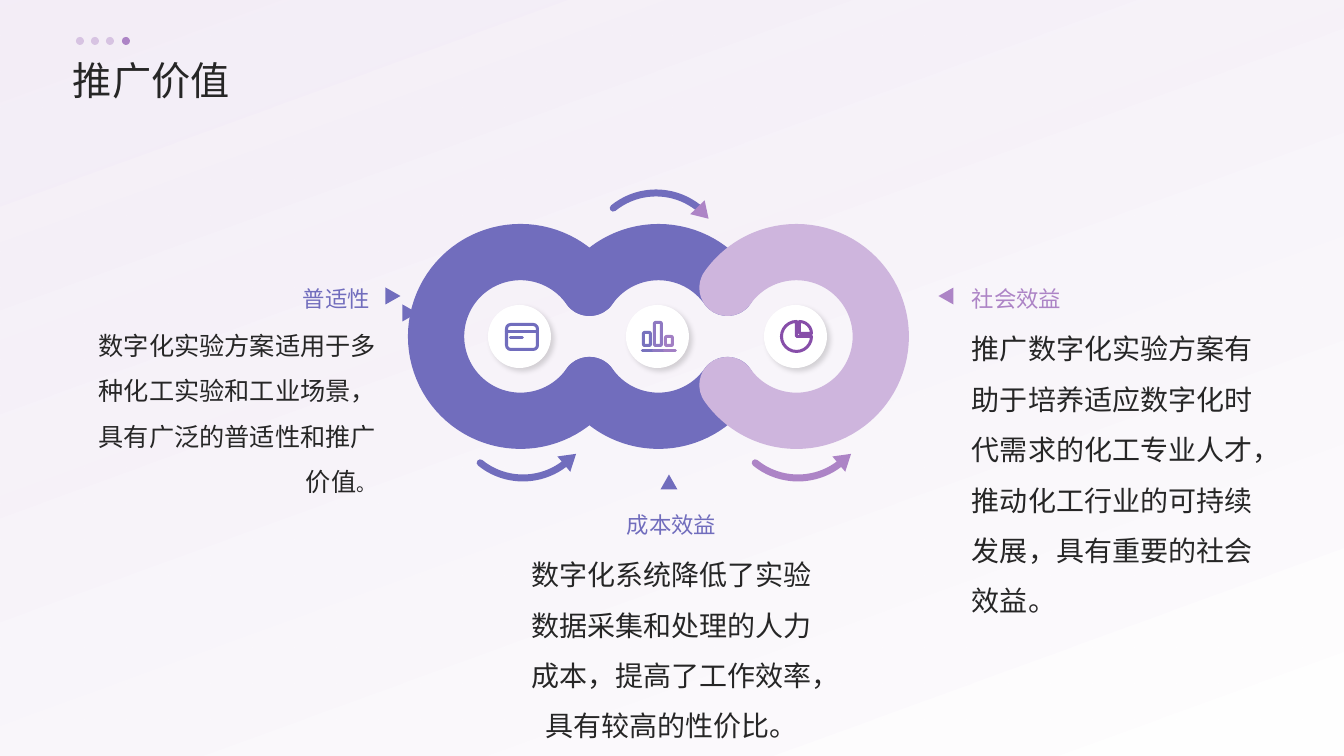
from math import acos, degrees

from lxml import etree
from pptx import Presentation
from pptx import util as u
from pptx.dml.color import RGBColor
from pptx.enum import shapes, text
from pptx.oxml.ns import qn

SCALE = 12192000 / 1344
FONT = "Noto Sans CJK SC"
INK, WHITE, MIST = "262626", "FFFFFF", "EFE6F4"
BLUE, ORCHID, LILAC, PLUM = "716DBD", "AD84C6", "CEB5DD", "874EA9"
KIND = shapes.MSO_SHAPE
ALIGN = text.PP_ALIGN
ANCHOR = text.MSO_ANCHOR
ICON_LINE = 3
LABEL_HEIGHT, LABEL_GAP = 58, 3


def px(length):
    return u.Emu(round(length * SCALE))


def color(value):
    return RGBColor.from_string(value)


def set_opacities(element, percents):
    """Give the colours found in an element their opacity, in order."""
    for node, percent in zip(element.iter(qn("a:srgbClr")), percents):
        etree.SubElement(node, qn("a:alpha")).set("val", str(percent * 1000))


def format_line(item, line, width):
    """Give a shape or connector a round-capped line."""
    item.line.color.rgb = color(line)
    item.line.width = px(width)
    item.element.spPr.find(qn("a:ln")).set("cap", "rnd")


def add_shape(slide, kind, box, fill=None, line=None, width=ICON_LINE):
    shape = slide.shapes.add_shape(kind, *map(px, box))
    shape.shadow.inherit = False
    if fill:
        shape.fill.solid()
        shape.fill.fore_color.rgb = color(fill)
    else:
        shape.fill.background()
    if line:
        format_line(shape, line, width)
    else:
        shape.line.fill.background()
    return shape


def add_sector(slide, kind, center, radius, angles, line, width=ICON_LINE):
    """Stroke an arc or pie clockwise between two angles in degrees."""
    x, y = center
    box = (x - radius, y - radius, 2 * radius, 2 * radius)
    sector = add_shape(slide, kind, box, line=line, width=width)
    for index, angle in enumerate(angles):
        sector.adjustments[index] = angle * 0.6


def add_triangle(slide, center, size, rotation, fill):
    (x, y), (width, height) = center, size
    box = (x - width / 2, y - height / 2, width, height)
    triangle = add_shape(slide, KIND.ISOSCELES_TRIANGLE, box, fill)
    triangle.rotation = rotation


def add_stroke(slide, left, right, y, line):
    stroke = slide.shapes.add_connector(
        shapes.MSO_CONNECTOR.STRAIGHT, *map(px, (left, y, right, y)))
    format_line(stroke, line, ICON_LINE)
    etree.SubElement(stroke.element.spPr, qn("a:effectLst"))


def format_text(shape, runs, fill, alignment, anchor, spacing):
    """Fill a shape with one paragraph of (words, point size) runs."""
    frame = shape.text_frame
    frame.word_wrap = True
    frame.auto_size = text.MSO_AUTO_SIZE.NONE
    frame.vertical_anchor = anchor
    frame.margin_left = frame.margin_right = 0
    frame.margin_top = frame.margin_bottom = 0
    paragraph = frame.paragraphs[0]
    paragraph.alignment = alignment
    paragraph.line_spacing = spacing
    for words, size in runs:
        run = paragraph.add_run()
        run.text = words
        run.font.size = u.Pt(size)
        run.font.color.rgb = color(fill)
        run.font.name = FONT
    for latin in shape.element.iter(qn("a:latin")):
        latin.addnext(etree.Element(qn("a:ea"), typeface=FONT))


def add_backdrop(slide, box):
    backdrop = add_shape(slide, KIND.RECTANGLE, box)
    backdrop.fill.gradient()
    backdrop.fill.gradient_angle = 290
    for stop, value in zip(backdrop.fill.gradient_stops, (MIST, WHITE)):
        stop.color.rgb = color(value)
    set_opacities(backdrop.element, (67, 92))
    slide.shapes.title.element.addprevious(backdrop.element)


def add_header(slide, box, words):
    """Title with a row of four dots above it, the last one solid."""
    left, top, width, height = box
    title = slide.shapes.title
    title.left, title.top, title.width, title.height = map(px, box)
    format_text(title, [(words, 28)], INK, ALIGN.LEFT, ANCHOR.MIDDLE, 1.1)
    for index, opacity in enumerate((40, 40, 40, 100)):
        dot_box = (left + 3 + index * 46 // 3, top - 15, 8, 8)
        dot = add_shape(slide, KIND.OVAL, dot_box, ORCHID)
        set_opacities(dot.element, [opacity])


def add_benefit(slide, box, label, label_color, runs, alignment, label_shift=0):
    """Coloured label above body text, the label moved sideways if asked."""
    left, top, width, height = box
    body_offset = LABEL_HEIGHT + LABEL_GAP
    label_box = (left + label_shift, top, width, LABEL_HEIGHT)
    body_box = (left, top + body_offset, width, height - body_offset)
    label_shape = slide.shapes.add_textbox(*map(px, label_box))
    format_text(label_shape, [(label, 16)], label_color, alignment, ANCHOR.BOTTOM, 1.1)
    body_shape = slide.shapes.add_textbox(*map(px, body_box))
    format_text(body_shape, runs, INK, alignment, ANCHOR.TOP, 1.5)


def add_chain(slide, box):
    """Three linked rings, each with an icon on a white disc in its middle."""
    left, top, width, height = box
    stroke = height / 4
    radius = (height - stroke) / 2
    pitch = (width - height) / 2
    centers = [(left + height / 2 + pitch * index, top + height / 2)
               for index in range(3)]
    # Neighbouring rings meet at this angle from the horizontal.
    meet = degrees(acos(pitch / 2 / radius))
    left_ring, middle_ring, right_ring = centers
    for center, angles, line in (
            (left_ring, (meet, 360 - meet), BLUE),
            (middle_ring, (180 + meet, 360 - meet), BLUE),
            (middle_ring, (meet, 180 - meet), BLUE),
            (right_ring, (180 + meet, 180 - meet), LILAC)):
        add_sector(slide, KIND.ARC, center, radius, angles, line, stroke)
    for draw_icon, (x, y) in zip((add_card, add_bars, add_pie), centers):
        add_disc(slide, x - 1, y, 63)
        draw_icon(slide, x, y)


def add_disc(slide, x, y, size):
    disc = add_shape(slide, KIND.OVAL, (x - size / 2, y - size / 2, size, size), WHITE)
    effects = disc.element.spPr.find(qn("a:effectLst"))
    shadow = etree.SubElement(effects, qn("a:outerShdw"), blurRad="50800",
                              dist="38100", dir="2700000", algn="tl")
    etree.SubElement(shadow, qn("a:srgbClr"), val="000000")
    set_opacities(shadow, [15])


def add_card(slide, x, y):
    add_shape(slide, KIND.ROUNDED_RECTANGLE, (x - 14, y - 12, 31, 25), line=BLUE)
    add_stroke(slide, x - 14, x + 17, y - 5, BLUE)
    add_stroke(slide, x - 10, x + 2, y + 1, BLUE)


def add_bars(slide, x, y):
    pitch, bar_width = 11, 7
    bars = (("7872BE", 13), ("8F79C2", 23), ("A27FC4", 9))
    for index, (tone, height) in enumerate(bars):
        left = x - 15 + pitch * index
        bar_box = (left, y + 9 - height, bar_width, height)
        add_shape(slide, KIND.ROUNDED_RECTANGLE, bar_box, line=tone)
        add_stroke(slide, left - 1, left - 1 + pitch, y + 14, tone)


def add_pie(slide, x, y):
    add_sector(slide, KIND.PIE, (x, y), 15, (0, 270), PLUM)
    add_sector(slide, KIND.PIE, (x + 3, y - 3), 12, (270, 360), PLUM)


def add_turn(slide, center, angles, line, tip, tip_color, tip_rotation):
    """Curved arrow around a center, its tip placed relative to that center."""
    x, y = center
    add_sector(slide, KIND.ARC, center, 68, angles, line, 7)
    add_triangle(slide, (x + tip[0], y + tip[1]), (20, 16), tip_rotation, tip_color)


def add_turns(slide, box):
    """Curved arrows above the middle ring and below the outer two."""
    left, top, width, height = box
    add_turn(slide, (left + 248, top + 37), (231, 308), BLUE, (47, -48), ORCHID, 136)
    for offset, tone in ((115, BLUE), (390, ORCHID)):
        center = (left + offset, top + height - 39)
        add_turn(slide, center, (52, 129), tone, (47, 49), tone, 50)


def add_markers(slide, box):
    """Small triangles around the chain, pointing at it."""
    left, top, width, height = box
    for x, y, rotation, fill in (
            (left - 15, top + 72, 90, BLUE),
            (left + 2, top + 89, 90, BLUE),
            (left + 261, top + height + 33, 0, BLUE),
            (left + width + 37, top + 72, 270, ORCHID)):
        add_triangle(slide, (x, y), (17, 15), rotation, fill)


def main():
    presentation = Presentation()
    presentation.slide_width, presentation.slide_height = px(1344), px(756)
    slide = presentation.slides.add_slide(presentation.slide_layouts[5])
    add_backdrop(slide, (0, 0, 1344, 756))
    add_header(slide, (73, 52, 1197, 51), "推广价值")
    chain_box = (408, 224, 501, 225)
    for add_part in (add_markers, add_turns, add_chain):
        add_part(slide, chain_box)
    add_benefit(slide, (79, 254, 297, 170), "普适性", BLUE,
                [("数字化实验方案适用于多种化工实验和工业场景，具有广泛的普适性和推广价值", 18),
                 ("。", 14)], ALIGN.RIGHT, label_shift=-6)
    add_benefit(slide, (523, 480, 297, 170), "成本效益", BLUE,
                [("数字化系统降低了实验数据采集和处理的人力成本，"
                  "提高了工作效率，具有较高的性价比。", 20)], ALIGN.CENTER)
    add_benefit(slide, (972, 254, 297, 170), "社会效益", ORCHID,
                [("推广数字化实验方案有助于培养适应数字化时代需求的化工专业人才，"
                  "推动化工行业的可持续发展，具有重要的社会效益。", 20)], ALIGN.LEFT)
    presentation.save("out.pptx")


if __name__ == "__main__":
    main()
